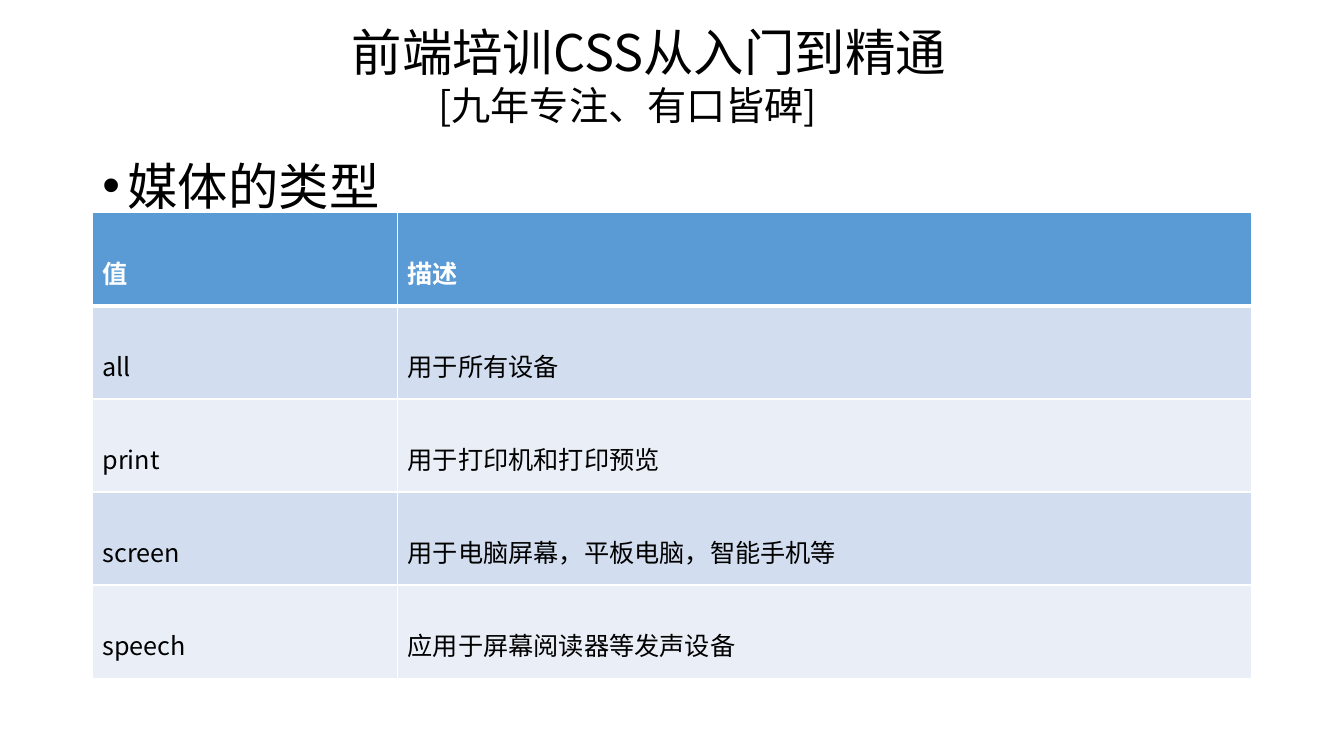
from lxml.etree import SubElement
from pptx import Presentation
from pptx.dml.color import RGBColor
from pptx.enum.text import MSO_ANCHOR as Anchor, MSO_AUTO_SIZE as AutoSize, PP_ALIGN as Align
from pptx.oxml.ns import qn
from pptx.util import Pt

SANS = "Noto Sans CJK SC"
BLACK, WHITE = "000000", "FFFFFF"
HEADER_FILL = "5B9BD5"
BAND_FILLS = ("D2DEEF", "EAEFF7")
MEDIA_TYPES = [
    ("值", "描述"),
    ("all", "用于所有设备"),
    ("print", "用于打印机和打印预览"),
    ("screen", "用于电脑屏幕，平板电脑，智能手机等"),
    ("speech", "应用于屏幕阅读器等发声设备"),
]


def color(hex_string):
    return RGBColor.from_string(hex_string)


def set_font(para, size, name=SANS, ink=BLACK, bold=False):
    font = para.font
    font.size, font.name, font.bold = Pt(size), name, bold
    font.color.rgb = color(ink)


def indent(para, left, first=0):
    properties = para._p.get_or_add_pPr()
    properties.set("marL", str(Pt(left)))
    properties.set("indent", str(Pt(first)))
    return properties


def add_title(slide, box):
    title = slide.shapes.title
    title.left, title.top, title.width, title.height = map(Pt, box)
    frame = title.text_frame
    frame.word_wrap, frame.auto_size = True, AutoSize.NONE
    frame.vertical_anchor = Anchor.TOP
    frame.text = "前端培训CSS从入门到精通\n[九年专注、有口皆碑]"
    heading, tagline = frame.paragraphs
    indent(tagline, 62)
    for para, size in ((heading, 36), (tagline, 28)):
        para.alignment = Align.LEFT
        set_font(para, size)


def add_topic(slide, box):
    frame = slide.shapes.add_textbox(*map(Pt, box)).text_frame
    frame.word_wrap = True
    para = frame.paragraphs[0]
    para.text = "媒体的类型"
    para.line_spacing = 1.5
    properties = indent(para, 18, -18)
    SubElement(properties, qn("a:buFont"), typeface="Arial")
    SubElement(properties, qn("a:buChar"), char="•")
    set_font(para, 36, "Arial")


def set_borders(cell, top, bottom):
    """Draw white cell edges, 1 pt at the sides and as given above and below."""
    properties = cell._tc.get_or_add_tcPr()
    for side, width in (("L", 1), ("R", 1), ("T", top), ("B", bottom)):
        line = SubElement(properties, qn(f"a:ln{side}"), w=str(Pt(width)))
        fill = SubElement(line, qn("a:solidFill"))
        SubElement(fill, qn("a:srgbClr"), val=WHITE)


def add_media_table(slide, box):
    table = slide.shapes.add_table(len(MEDIA_TYPES), 2, *map(Pt, box)).table
    value_width = 218
    table.columns[0].width = Pt(value_width)
    table.columns[1].width = Pt(box[2] - value_width)
    for row, texts in enumerate(MEDIA_TYPES):
        is_header = row == 0
        for column, text in enumerate(texts):
            cell = table.cell(row, column)
            set_borders(cell, 3 if row == 1 else 1, 3 if is_header else 1)
            cell.fill.solid()
            fill = HEADER_FILL if is_header else BAND_FILLS[(row - 1) % 2]
            cell.fill.fore_color.rgb = color(fill)
            para = cell.text_frame.paragraphs[0]
            para.text = text
            para.line_spacing = 2.0
            set_font(para, 18, ink=WHITE if is_header else BLACK, bold=is_header)


def main():
    deck = Presentation()
    deck.slide_width, deck.slide_height = Pt(960), Pt(540)
    slide = deck.slides.add_slide(deck.slide_layouts[5])
    add_topic(slide, (66, 85.7, 828, 423))
    add_title(slide, (244, 11.5, 590, 116))
    add_media_table(slide, (66, 152, 828, 332.5))
    deck.save("out.pptx")


if __name__ == "__main__":
    main()
